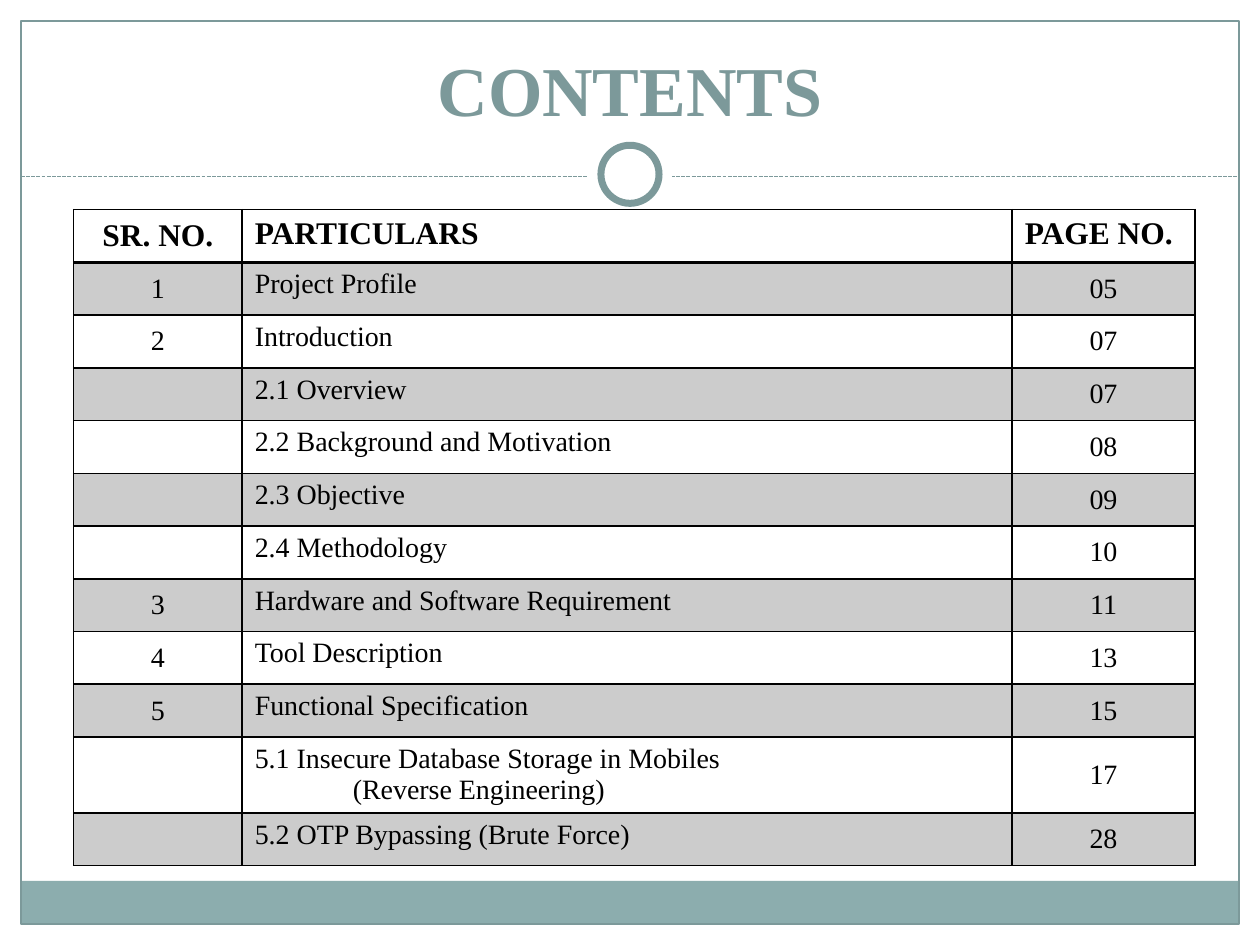
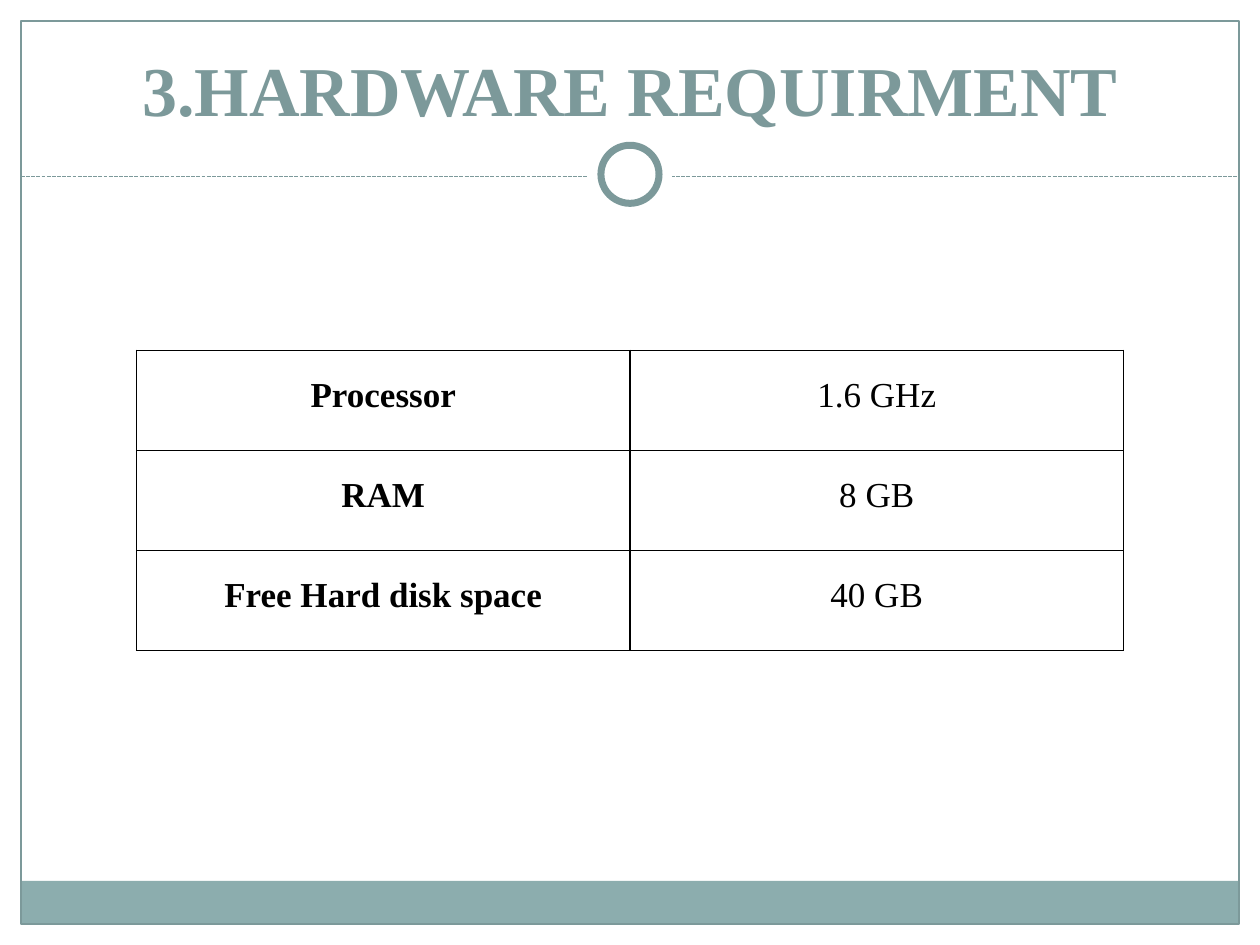
import pptx
import pptx.util
import pptx.dml.color
import pptx.enum.dml
import pptx.enum.shapes
import pptx.enum.text
import pptx.oxml.ns
import lxml.etree

Pt = pptx.util.Pt
qn = pptx.oxml.ns.qn
SHAPE = pptx.enum.shapes.MSO_SHAPE
ALIGN = pptx.enum.text.PP_ALIGN
ANCHOR = pptx.enum.text.MSO_ANCHOR

COLORS = {"accent": "7C999A", "band": "8CADAE", "paper": "FFFFFF", "ink": "000000"}
FONT = "Times New Roman"
W, H = 720, 540
MARGIN = 12
RULE_Y = 100.8

CONTENTS = [
    ("SR. NO.", "PARTICULARS", "PAGE NO."),
    ("1", "Project Profile", "05"),
    ("2", "Introduction", "07"),
    ("", "2.1 Overview", "07"),
    ("", "2.2 Background and Motivation", "08"),
    ("", "2.3 Objective", "09"),
    ("", "2.4 Methodology", "10"),
    ("3", "Hardware and Software Requirement", "11"),
    ("4", "Tool Description", "13"),
    ("5", "Functional Specification", "15"),
    ("", "5.1 Insecure Database Storage in Mobiles\n(Reverse Engineering)", "17"),
    ("", "5.2 OTP Bypassing (Brute Force)", "28"),
]
HARDWARE = [
    ("Processor", "1.6 GHz"),
    ("RAM", "8 GB"),
    ("Free Hard disk space", "40 GB"),
]


def rgb(name):
    return pptx.dml.color.RGBColor.from_string(COLORS[name])


def add_plain_shape(s, kind, box, fill=None, line=None, width=0.75):
    sp = s.shapes.add_shape(kind, *map(Pt, box))
    sp.shadow.inherit = False
    if fill:
        sp.fill.solid()
        sp.fill.fore_color.rgb = rgb(fill)
    else:
        sp.fill.background()
    if line:
        sp.line.color.rgb = rgb(line)
        sp.line.width = Pt(width)
    else:
        sp.line.fill.background()


def add_circle(s, size, **style):
    center_y = 99.6
    box = ((W - size) / 2, center_y - size / 2, size, size)
    add_plain_shape(s, SHAPE.OVAL, box, fill="paper", **style)


def add_frame(s, left, top, width, height):
    band = 24.6
    add_plain_shape(s, SHAPE.RECTANGLE, (left, top + height - band, width, band), fill="band")
    add_plain_shape(s, SHAPE.RECTANGLE, (left, top, width, height), line="accent")
    rule = s.shapes.add_connector(pptx.enum.shapes.MSO_CONNECTOR.STRAIGHT,
                                  Pt(left), Pt(RULE_Y), Pt(left + width), Pt(RULE_Y))
    rule.line.color.rgb = rgb("accent")
    rule.line.width = Pt(0.75)
    rule.line.dash_style = pptx.enum.dml.MSO_LINE.SQUARE_DOT
    lxml.etree.SubElement(rule._element.spPr, qn("a:effectLst"))
    add_circle(s, 48)
    add_circle(s, 33.2, line="accent", width=4)


def format_text(tf, size, color, bold, align):
    for p in tf.paragraphs:
        p.alignment = align
        for r in p.runs:
            r.font.name = FONT
            r.font.size = Pt(size)
            r.font.bold = bold
            r.font.color.rgb = rgb(color)


def set_title(s, text, left, top, width, height):
    sp = s.shapes.title
    sp.left, sp.top, sp.width, sp.height = map(Pt, (left, top, width, height))
    tf = sp.text_frame
    tf.text = text
    tf.auto_size = pptx.enum.text.MSO_AUTO_SIZE.NONE
    tf.vertical_anchor = ANCHOR.BOTTOM
    format_text(tf, 40, "accent", True, ALIGN.CENTER)


def add_framed_slide(prs, title):
    s = prs.slides.add_slide(prs.slide_layouts[5])
    add_frame(s, MARGIN, MARGIN, W - 2 * MARGIN, H - 2 * MARGIN)
    set_title(s, title, 24, 18, W - 48, 60)
    return s


def set_borders(cell, bottom):
    tcPr = cell._tc.get_or_add_tcPr()
    for side, width in (("L", 1), ("R", 1), ("T", 1), ("B", bottom)):
        ln = lxml.etree.SubElement(tcPr, qn(f"a:ln{side}"), w=str(Pt(width)))
        fill = lxml.etree.SubElement(ln, qn("a:solidFill"))
        lxml.etree.SubElement(fill, qn("a:srgbClr"), val=COLORS["ink"])


def shade(cell):
    cell.fill.solid()
    cell.fill.fore_color.rgb = rgb("ink")
    clr = cell._tc.tcPr.find(qn("a:solidFill")).find(qn("a:srgbClr"))
    lxml.etree.SubElement(clr, qn("a:alpha"), val="20000")


def add_grid(s, rows, left, top, col_widths, row_heights, header=False):
    frame = s.shapes.add_table(len(rows), len(col_widths), Pt(left), Pt(top),
                               Pt(sum(col_widths)), Pt(sum(row_heights)))
    table = frame.table
    table.first_row = header
    table.horz_banding = False
    for col, width in zip(table.columns, col_widths):
        col.width = Pt(width)
    for row, height in zip(table.rows, row_heights):
        row.height = Pt(height)
    for i, values in enumerate(rows):
        for j, value in enumerate(values):
            cell = table.cell(i, j)
            cell.text_frame.text = value
            set_borders(cell, 2 if header and i == 0 else 1)
            cell.fill.background()
    return table


def build_contents(prs):
    s = add_framed_slide(prs, "CONTENTS")
    heights = [43.4 if "\n" in row[1] else 30.14 for row in CONTENTS]
    table = add_grid(s, CONTENTS, 42, 119.8, (96.4, 440, 104.4), heights, header=True)
    for i, row in enumerate(table.rows):
        for j, cell in enumerate(row.cells):
            centered = j == 0 or (j == 2 and i > 0)
            align = ALIGN.CENTER if centered else ALIGN.LEFT
            format_text(cell.text_frame, 16 if i else 18, "ink", i == 0, align)
            cell.vertical_anchor = ANCHOR.MIDDLE if centered else ANCHOR.TOP
            for p in cell.text_frame.paragraphs[1:]:
                p._p.get_or_add_pPr().set("marL", str(Pt(56)))
            if i % 2:
                shade(cell)


def build_hardware(prs):
    s = add_framed_slide(prs, "3.HARDWARE REQUIRMENT")
    table = add_grid(s, HARDWARE, 78, 200.2, [282] * 2, [57.15] * len(HARDWARE))
    for row in table.rows:
        for j, cell in enumerate(row.cells):
            format_text(cell.text_frame, 20, "ink", j == 0, ALIGN.CENTER)
            cell.text_frame.paragraphs[0].line_spacing = 1.5


def main():
    prs = pptx.Presentation()
    prs.slide_width, prs.slide_height = Pt(W), Pt(H)
    build_contents(prs)
    build_hardware(prs)
    prs.save("out.pptx")


if __name__ == "__main__":
    main()
